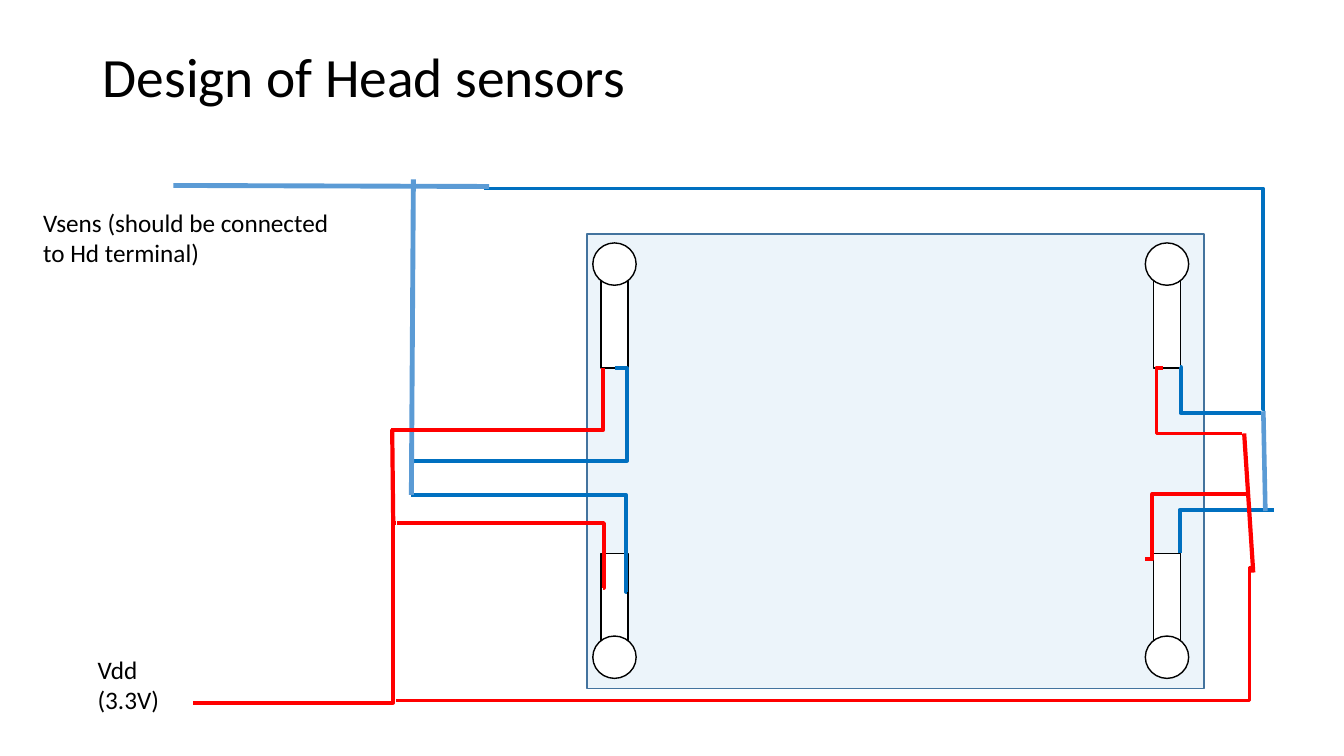
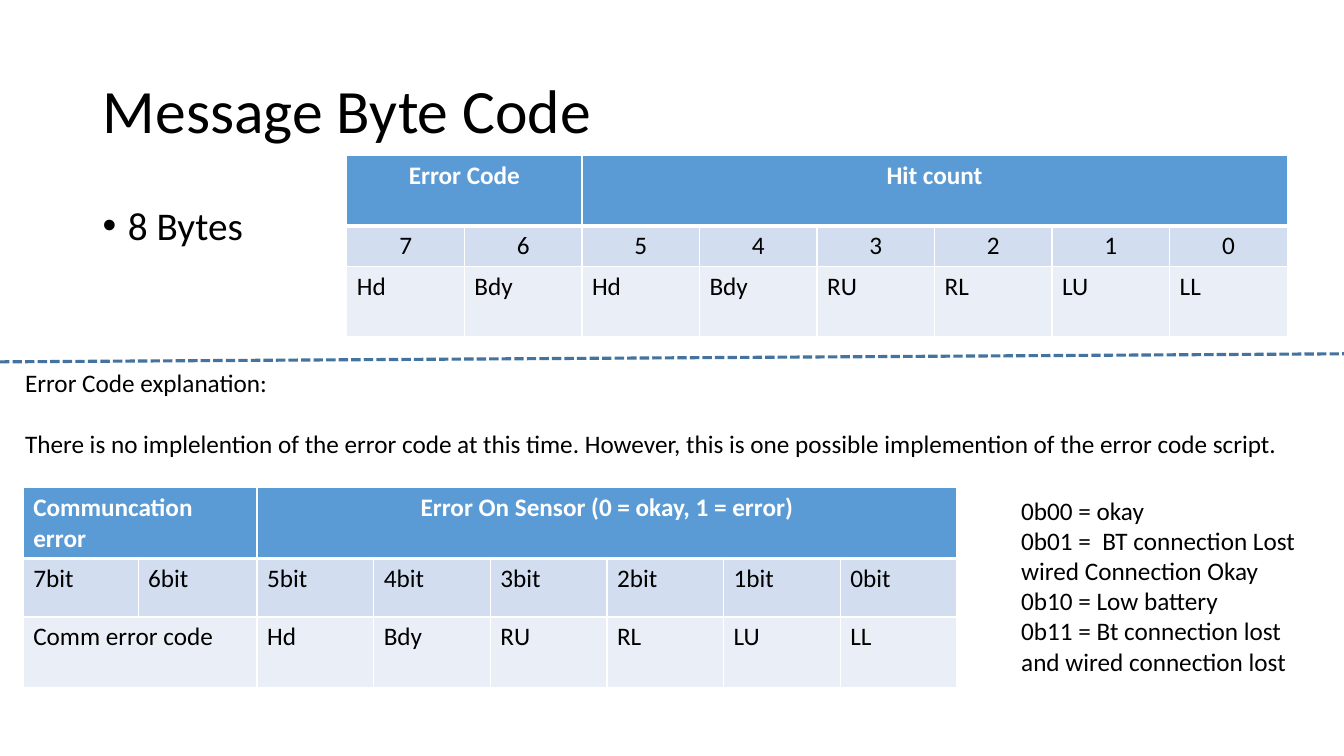
from lxml.etree import SubElement
from pptx import Presentation
from pptx.dml.color import RGBColor
from pptx.enum.dml import MSO_LINE
from pptx.enum.shapes import MSO_CONNECTOR as CONNECTOR, MSO_SHAPE as SHAPE
from pptx.enum.text import MSO_ANCHOR as ANCHOR, PP_ALIGN as ALIGN
from pptx.oxml.ns import qn
from pptx.util import Emu, Pt

EMU_PER_PX = 9144  # 100 px to the inch
SLIDE_WIDTH, SLIDE_HEIGHT = 1333, 750
TITLE_BOX = (92, 40, 1150, 145)
FONT = "Calibri"
TITLE_ONLY = 5
COLORS = {
    "text": "000000", "white": "FFFFFF", "accent": "5B9BD5", "edge": "43739E",
    "sense": "0070C0", "power": "FF0000", "band": "D2DEEF", "pale": "EAEFF7",
}


# Shared helpers
def px(value):
    return Emu(round(value * EMU_PER_PX))


def color(name):
    return RGBColor.from_string(COLORS[name])


def format_text(paragraph, size, color_name="text", bold=False):
    for run in paragraph.runs:
        run.font.name = FONT
        run.font.size = Pt(size)
        run.font.bold = bold
        run.font.color.rgb = color(color_name)


def add_titled_slide(presentation, text, size):
    slide = presentation.slides.add_slide(presentation.slide_layouts[TITLE_ONLY])
    title = slide.shapes.title
    title.left, title.top, title.width, title.height = map(px, TITLE_BOX)
    text_frame = title.text_frame
    text_frame.text = text
    text_frame.vertical_anchor = ANCHOR.MIDDLE
    paragraph = text_frame.paragraphs[0]
    paragraph.alignment = ALIGN.LEFT
    paragraph.line_spacing = 0.9
    format_text(paragraph, size)
    return slide


def add_text(slide, box, lines, size=18, wrap=True):
    text_box = slide.shapes.add_textbox(*map(px, box))
    text_frame = text_box.text_frame
    text_frame.word_wrap = wrap
    text_frame.text = "\n".join(lines)
    for paragraph in text_frame.paragraphs:
        format_text(paragraph, size)
    return text_frame


def add_shape(shapes, kind, box, fill, line):
    shape = shapes.add_shape(kind, *map(px, box))
    shape.shadow.inherit = False
    shape.fill.solid()
    shape.fill.fore_color.rgb = color(fill)
    shape.line.color.rgb = color(line)
    shape.line.width = Pt(1)
    return shape


def add_line(slide, start, end, color_name, width, bend_x=None):
    """Straight line, or an elbow that turns at bend_x."""
    kind = CONNECTOR.STRAIGHT if bend_x is None else CONNECTOR.ELBOW
    connector = slide.shapes.add_connector(kind, *map(px, (*start, *end)))
    connector.line.color.rgb = color(color_name)
    connector.line.width = Pt(width)
    properties = connector._element.spPr
    SubElement(properties, qn("a:effectLst"))
    if bend_x is not None:
        bend = round((bend_x - start[0]) / (end[0] - start[0]) * 100000)
        guides = properties.find(qn("a:prstGeom")).get_or_add_avLst()
        SubElement(guides, qn("a:gd"), name="adj1", fmla=f"val {bend}")
    return connector


# Slide 1: sensor wiring
def add_sensor(slide, left, top, head_on_top):
    """Stem with a round head, in a box of 43 by 124 px."""
    group = slide.shapes.add_group_shape()
    stem_top, head_top = (top + 19, top) if head_on_top else (top, top + 82)
    add_shape(group.shapes, SHAPE.RECTANGLE, (left + 8, stem_top, 27, 105),
              "white", "text")
    add_shape(group.shapes, SHAPE.OVAL, (left, head_top, 43, 42), "white", "text")


# Start, end, colour, width, x of the bend
WIRES = [
    ((610, 265), (408, 357), "sense", 2.75, 622),
    ((598, 483), (394, 419), "power", 2.75, 599),
    ((622, 487), (408, 391), "sense", 2.75, 621),
    ((1153, 265), (1232, 330), "power", 2.75, 1147),
    ((1170, 264), (1251, 310), "sense", 2.75, 1171),
    ((1136, 455), (1240, 390), "power", 2.75, 1143),
    ((1170, 449), (1264, 406), "sense", 2.75, 1170),
    ((1255, 306), (480, 87), "sense", 2.75, 1253),
    ((1253, 308), (1255, 407), "accent", 3.25, None),
    ((1234, 330), (1243, 468), "power", 3, None),
    ((408, 391), (410, 78), "accent", 3.5, None),
    ((1243, 463), (393, 595), "power", 2.25, 1240),
    ((598, 265), (388, 327), "power", 2.75, 598),
    ((393, 419), (191, 597), "power", 2.75, 390),
    ((485, 85), (172, 84), "accent", 3.5, None),
    ((389, 326), (390, 419), "power", 3, None),
]


def add_wiring(slide, left, top):
    # Board with a sensor in each corner
    board = add_shape(slide.shapes, SHAPE.RECTANGLE,
                      (left + 582, top + 132, 612, 451), "accent", "edge")
    fill_color = board._element.spPr.find(qn("a:solidFill"))[0]
    SubElement(fill_color, qn("a:alpha"), val="11000")
    for sensor_top, head_on_top in ((449, False), (141, True)):
        for sensor_left in (588, 1136):
            add_sensor(slide, left + sensor_left, top + sensor_top, head_on_top)

    # Wires
    for start, end, color_name, width, bend_x in WIRES:
        add_line(slide, (left + start[0], top + start[1]),
                 (left + end[0], top + end[1]), color_name, width,
                 None if bend_x is None else left + bend_x)

    # Terminal labels
    add_text(slide, (left + 33, top + 101, 303, 71),
             ["Vsens (should be connected", "to Hd terminal)"], wrap=False)
    add_text(slide, (left + 87, top + 544, 104, 71), ["Vdd (3.3V)"])


def build_sensor_slide(presentation):
    slide = add_titled_slide(presentation, "Design of Head sensors", 39.6)
    text_frame = slide.shapes.title.text_frame
    text_frame.vertical_anchor = ANCHOR.TOP
    text_frame.margin_top = px(9)
    add_wiring(slide, 0, 100)


# Slide 2: byte tables
def set_borders(cell, widths):
    properties = cell._tc.get_or_add_tcPr()
    for side, width in zip(("lnL", "lnR", "lnT", "lnB"), widths):
        border = SubElement(properties, qn(f"a:{side}"), w=str(Pt(width)))
        fill = SubElement(border, qn("a:solidFill"))
        SubElement(fill, qn("a:srgbClr"), val=COLORS["white"])


def add_byte_table(slide, left, top, column_widths, row_heights, rows, centred):
    """None in a row extends the cell to its left."""
    frame = slide.shapes.add_table(
        len(rows), len(column_widths), px(left), px(top),
        px(sum(column_widths)), px(sum(row_heights)))
    table = frame.table
    for column, width in zip(table.columns, column_widths):
        column.width = px(width)
    for row, height in zip(table.rows, row_heights):
        row.height = px(height)
    for r, texts in enumerate(rows):
        origin = 0
        for c, text in enumerate(texts):
            cell = table.cell(r, c)
            set_borders(cell, (1, 1, 3 if r == 1 else 1, 3 if r == 0 else 1))
            cell.fill.solid()
            cell.fill.fore_color.rgb = color(("accent", "band", "pale")[r])
            if text is not None:
                origin = c
                cell.text_frame.text = text
                paragraph = cell.text_frame.paragraphs[0]
                if (r, c) in centred:
                    paragraph.alignment = ALIGN.CENTER
                format_text(paragraph, 18, "white" if r == 0 else "text", r == 0)
            elif c + 1 == len(texts) or texts[c + 1] is not None:
                table.cell(r, origin).merge(cell)


def add_bullet(slide, box, text):
    paragraph = add_text(slide, box, [text], size=28).paragraphs[0]
    paragraph.line_spacing = 0.9
    paragraph.space_before = Pt(10)
    properties = paragraph._p.get_or_add_pPr()
    properties.set("marL", str(px(25)))
    properties.set("indent", str(-px(25)))
    SubElement(properties, qn("a:buFont"), typeface="Arial")
    SubElement(properties, qn("a:buChar"), char="•")


def build_message_slide(presentation):
    slide = add_titled_slide(presentation, "Message Byte Code", 44)
    parts = ["Hd", "Bdy", "RU", "RL", "LU", "LL"]

    # Message layout
    add_bullet(slide, (92, 200, 1150, 108), "8 Bytes")
    add_byte_table(
        slide, 344, 154, [116.6] * 8, [70, 40, 70],
        [["Error Code", None, "Hit count"] + [None] * 5,
         [str(number) for number in range(7, -1, -1)],
         ["Hd", "Bdy"] + parts],
        {(0, 0), (0, 2)} | {(1, column) for column in range(8)})

    divider = add_line(slide, (0, 359), (SLIDE_WIDTH, 351), "edge", 2.25)
    divider.line.dash_style = MSO_LINE.SQUARE_DOT

    # Error code explanation
    explanation = add_text(
        slide, (15, 359, 1262, 192),
        ["Error Code explanation:",
         "There is no implelention of the error code at this time. However, "
         "this is one possible implemention of the error code script."],
        wrap=False)
    explanation.paragraphs[1].space_before = Pt(22)
    add_byte_table(
        slide, 23, 484, [114, 118] + [115.7] * 6, [69, 58, 70],
        [["Communcation error", None, "Error On Sensor (0 = okay, 1 = error)"]
         + [None] * 5,
         [f"{number}bit" for number in range(7, -1, -1)],
         ["Comm error code", None] + parts],
        {(0, 2)})
    add_text(slide, (1003, 486, 302, 192),
             ["0b00 = okay", "0b01 =  BT connection Lost",
              "wired Connection Okay", "0b10 = Low battery",
              "0b11 = Bt connection lost and wired connection lost"])


def main():
    presentation = Presentation()
    presentation.slide_width = px(SLIDE_WIDTH)
    presentation.slide_height = px(SLIDE_HEIGHT)
    build_sensor_slide(presentation)
    build_message_slide(presentation)
    presentation.save("out.pptx")


if __name__ == "__main__":
    main()
